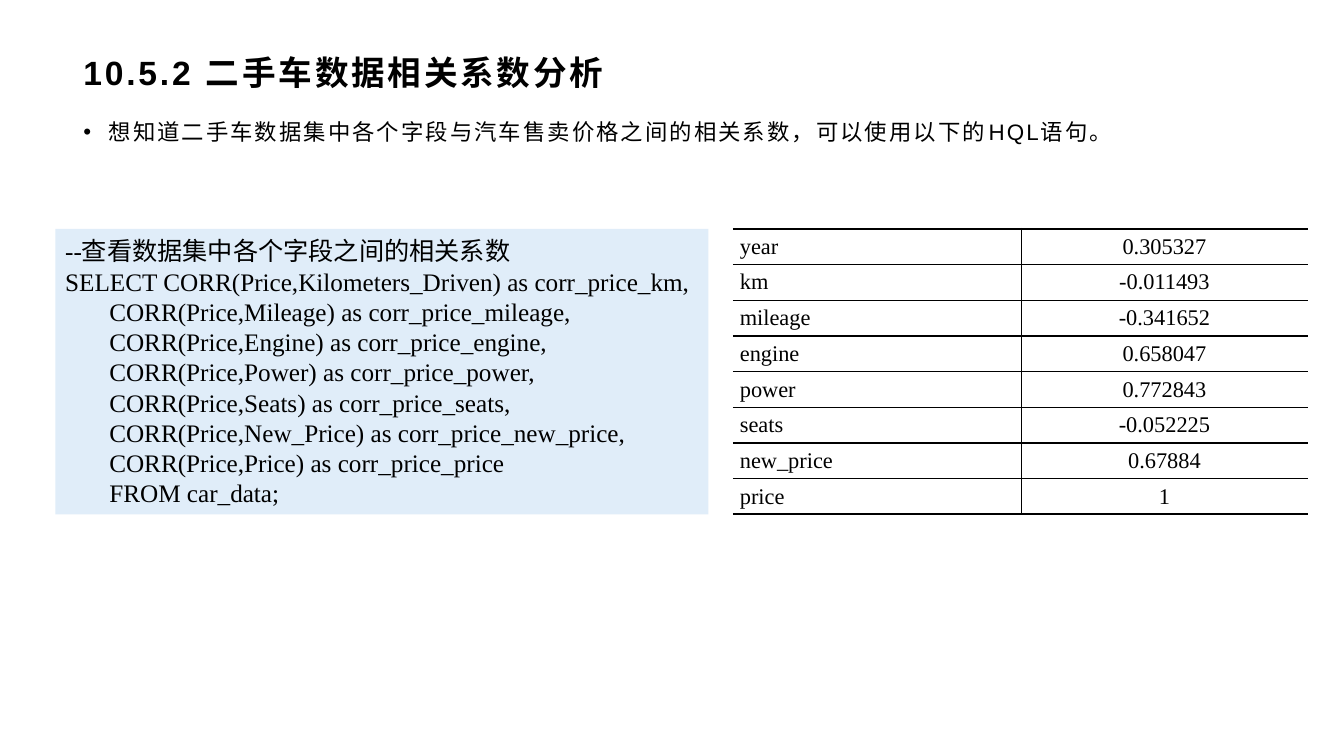
from dataclasses import dataclass
from typing import NamedTuple

from lxml import etree
from pptx import Presentation
from pptx.dml.color import RGBColor
from pptx.enum import shapes, text
from pptx.oxml import ns
from pptx.util import Pt


@dataclass(frozen=True)
class Theme:
    ink: str = "000000"
    code_fill: str = "E0EDF9"
    sans: str = "Arial"
    serif: str = "Times New Roman"
    title_size: float = 24
    body_size: float = 16
    code_size: float = 18
    outer_rule: float = 1.5
    inner_rule: float = 1


class Area(NamedTuple):
    left: float
    top: float
    width: float
    height: float

    def lengths(self) -> list[Pt]:
        return [Pt(value) for value in self]


class Correlation(NamedTuple):
    field: str
    coefficient: str


class CodeLine(NamedTuple):
    wording: str
    first_indent: float = 0


THEME = Theme()
TITLE_AREA = Area(52.5, 34.5, 854.5, 34.5)
LEAD_AREA = Area(52.5, 75, 854.5, 424)
CODE_AREA = Area(39.5, 163.5, 466.5, 204)
TABLE_AREA = Area(523.5, 163.5, 410.5, 204)
FIELD_WIDTH = 206
LEAD_INDENT = 18
CODE_LEADING = 21.6

CODE = [
    CodeLine("--查看数据集中各个字段之间的相关系数"),
    CodeLine("SELECT CORR(Price,Kilometers_Driven) as corr_price_km,"),
    CodeLine("       CORR(Price,Mileage) as corr_price_mileage,"),
    CodeLine("       CORR(Price,Engine) as corr_price_engine,"),
    CodeLine("       CORR(Price,Power) as corr_price_power,"),
    CodeLine("       CORR(Price,Seats) as corr_price_seats,"),
    CodeLine("       CORR(Price,New_Price) as corr_price_new_price,"),
    CodeLine("       CORR(Price,Price) as corr_price_price"),
    CodeLine("FROM car_data;", 31.5),
]
CORRELATIONS = [
    Correlation("year", "0.305327"),
    Correlation("km", "-0.011493"),
    Correlation("mileage", "-0.341652"),
    Correlation("engine", "0.658047"),
    Correlation("power", "0.772843"),
    Correlation("seats", "-0.052225"),
    Correlation("new_price", "0.67884"),
    Correlation("price", "1"),
]


def add_run(paragraph, wording: str, face: str, size: float,
            bold: bool = False, tracking: float = 0) -> None:
    """Append a run; tracking is the letter spacing in points."""
    run = paragraph.add_run()
    run.text = wording
    run.font.name = face
    run.font.size = Pt(size)
    run.font.bold = bold
    run.font.color.rgb = RGBColor.from_string(THEME.ink)
    if tracking:
        run.font._element.set("spc", str(round(tracking * 100)))


def add_frame(slide, area: Area):
    frame = slide.shapes.add_textbox(*area.lengths()).text_frame
    frame.word_wrap = True
    return frame


def add_title(slide) -> None:
    frame = add_frame(slide, TITLE_AREA)
    frame.vertical_anchor = text.MSO_ANCHOR.MIDDLE
    add_run(frame.paragraphs[0], "10.5.2 二手车数据相关系数分析",
            THEME.sans, THEME.title_size, bold=True, tracking=2)


def add_lead(slide) -> None:
    paragraph = add_frame(slide, LEAD_AREA).paragraphs[0]
    paragraph.line_spacing = 1.3
    paragraph.space_after = Pt(10)
    properties = paragraph._p.get_or_add_pPr()
    properties.set("marL", str(Pt(LEAD_INDENT)))
    properties.set("indent", str(-Pt(LEAD_INDENT)))
    etree.SubElement(properties, ns.qn("a:buFont"), typeface=THEME.sans)
    etree.SubElement(properties, ns.qn("a:buChar"), char="•")
    add_run(paragraph,
            "想知道二手车数据集中各个字段与汽车售卖价格之间的相关系数，可以使用以下的HQL语句。",
            THEME.sans, THEME.body_size, tracking=1.5)


def add_code(slide) -> None:
    panel = slide.shapes.add_shape(shapes.MSO_SHAPE.RECTANGLE, *CODE_AREA.lengths())
    panel.shadow.inherit = False
    panel.fill.solid()
    panel.fill.fore_color.rgb = RGBColor.from_string(THEME.code_fill)
    panel.line.fill.background()
    frame = panel.text_frame
    frame.word_wrap = True
    frame.vertical_anchor = text.MSO_ANCHOR.MIDDLE
    for index, line in enumerate(CODE):
        paragraph = frame.add_paragraph() if index else frame.paragraphs[0]
        paragraph.alignment = text.PP_ALIGN.LEFT
        paragraph.line_spacing = Pt(CODE_LEADING)
        if line.first_indent:
            paragraph._p.get_or_add_pPr().set("indent", str(Pt(line.first_indent)))
        add_run(paragraph, line.wording, THEME.serif, THEME.code_size)


def rule_cell(cell, left: float, right: float, top: float, bottom: float) -> None:
    """Draw the cell's borders with the given widths; zero hides a side."""
    properties = cell._tc.get_or_add_tcPr()
    for side, width in zip("LRTB", (left, right, top, bottom)):
        border = etree.SubElement(properties, ns.qn(f"a:ln{side}"), w=str(Pt(width)))
        if width:
            fill = etree.SubElement(border, ns.qn("a:solidFill"))
            etree.SubElement(fill, ns.qn("a:srgbClr"), val=THEME.ink)
        else:
            etree.SubElement(border, ns.qn("a:noFill"))


def add_correlations(slide) -> None:
    last = len(CORRELATIONS) - 1
    table = slide.shapes.add_table(len(CORRELATIONS), 2, *TABLE_AREA.lengths()).table
    table.first_row = table.horz_banding = False
    table.columns[0].width = Pt(FIELD_WIDTH)
    table.columns[1].width = Pt(TABLE_AREA.width - FIELD_WIDTH)
    inner, outer = THEME.inner_rule, THEME.outer_rule
    alignments = (text.PP_ALIGN.LEFT, text.PP_ALIGN.CENTER)
    for row, correlation in enumerate(CORRELATIONS):
        table.rows[row].height = Pt(TABLE_AREA.height / len(CORRELATIONS))
        for column, wording in enumerate(correlation):
            cell = table.cell(row, column)
            rule_cell(cell,
                      left=inner if column else 0,
                      right=0 if column else inner,
                      top=inner if row else outer,
                      bottom=outer if row == last else inner)
            cell.fill.background()
            cell.margin_left = cell.margin_right = Pt(5)
            cell.margin_top = cell.margin_bottom = Pt(0)
            cell.vertical_anchor = text.MSO_ANCHOR.MIDDLE
            paragraph = cell.text_frame.paragraphs[0]
            paragraph.alignment = alignments[column]
            add_run(paragraph, wording, THEME.serif, THEME.body_size)


def main() -> None:
    deck = Presentation()
    deck.slide_width, deck.slide_height = Pt(960), Pt(540)
    slide = deck.slides.add_slide(deck.slide_layouts[6])
    add_title(slide)
    add_lead(slide)
    add_code(slide)
    add_correlations(slide)
    deck.save("out.pptx")


if __name__ == "__main__":
    main()
